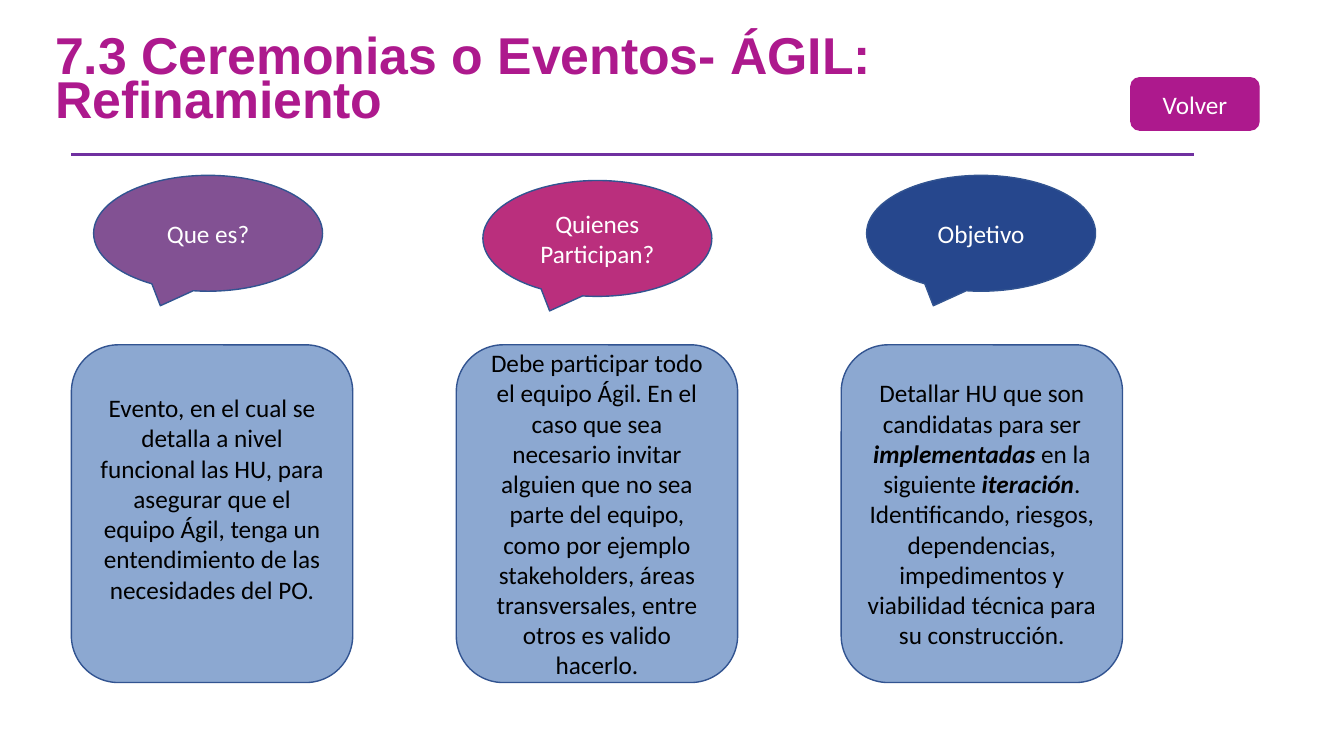
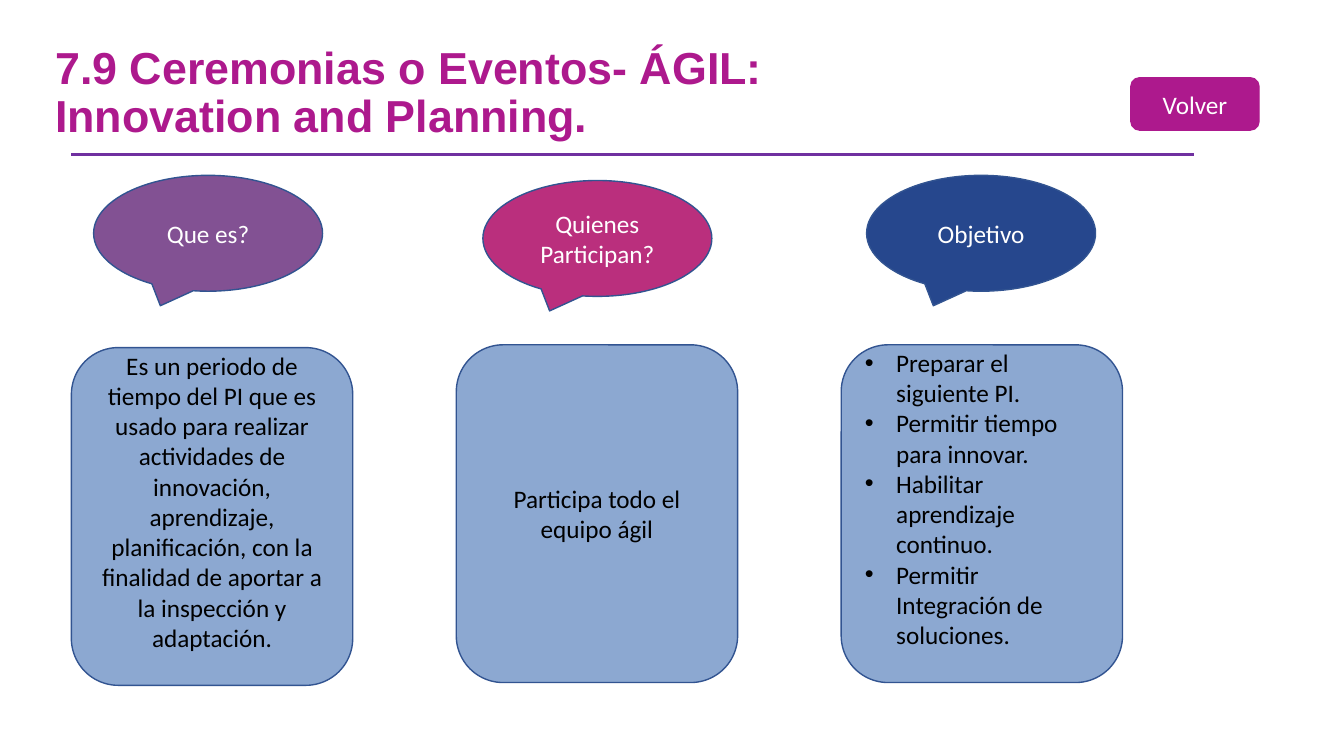
import pptx
import pptx.dml.color
import pptx.enum.shapes
import pptx.enum.text
import pptx.oxml.ns
import pptx.util
from lxml import etree

Cm = pptx.util.Cm
Pt = pptx.util.Pt
SHAPE = pptx.enum.shapes.MSO_SHAPE
ALIGN = pptx.enum.text.PP_ALIGN
qn = pptx.oxml.ns.qn

COLOURS = {
    "magenta": "AD198D",
    "rule": "7030A0",
    "outline": "325491",
    "purple": "825193",
    "pink": "BA2F7D",
    "navy": "26478D",
    "card": "8CA8D1",
    "white": "FFFFFF",
    "black": "000000",
}

# Heading, fill and position of each callout
CALLOUTS = [
    ("Que es?", "purple", 2.36, 4.42),
    ("Quienes Participan?", "pink", 12.17, 4.55),
    ("Objetivo", "navy", 21.84, 4.42),
]
CARD_LEFT, CARD_PITCH, CARD_TOP = 1.8, 9.7, 8.69
BULLET_INDENT = 0.79
LINE_HEIGHT = 0.77

SLIDES = [
    {
        "title": dict(text="7.3 Ceremonias o Eventos- ÁGIL: Refinamiento",
                      box=(1.14, 0.74, 23.77, 2.72), size=37, spacing=0.7),
        "cards": [
            dict(paragraphs=["Evento, en el cual se detalla a nivel funcional las HU, para "
                             "asegurar que el equipo Ágil, tenga un entendimiento de las "
                             "necesidades del PO."], raised=True),
            dict(paragraphs=["Debe participar todo el equipo Ágil. En el caso que sea necesario "
                             "invitar alguien que no sea parte del equipo, como por ejemplo "
                             "stakeholders, áreas transversales, entre otros es valido hacerlo."]),
            dict(paragraphs=["Detallar HU que son candidatas para ser *implementadas* en la "
                             "siguiente *iteración*. Identificando, riesgos, dependencias, "
                             "impedimentos y viabilidad técnica para su construcción."]),
        ],
    },
    {
        "title": dict(text="7.9 Ceremonias o Eventos- ÁGIL: Innovation and Planning.",
                      box=(1.14, 0.69, 21.49, 3.35), size=32, spacing=0.9),
        "cards": [
            dict(paragraphs=["Es un periodo de tiempo del PI que es usado para realizar "
                             "actividades de innovación, aprendizaje, planificación, con la "
                             "finalidad de aportar a la inspección y adaptación."],
                 top=8.76, raised=True),
            dict(paragraphs=["Participa todo el equipo ágil"]),
            dict(paragraphs=["Preparar el siguiente PI.",
                             "Permitir tiempo para innovar.",
                             "Habilitar aprendizaje continuo.",
                             "Permitir Integración de soluciones."],
                 bullets=True, raised=True),
        ],
    },
]


def colour(name):
    return pptx.dml.color.RGBColor.from_string(COLOURS[name])


def add_bullet(paragraph):
    properties = paragraph._p.get_or_add_pPr()
    properties.set("marL", str(Cm(BULLET_INDENT)))
    properties.set("indent", str(-Cm(BULLET_INDENT)))
    etree.SubElement(properties, qn("a:buFont")).set("typeface", "Arial")
    etree.SubElement(properties, qn("a:buChar")).set("char", "•")


def write_text(shape, paragraphs, size=18, font="Calibri", color="black", bold=False,
               align=ALIGN.CENTER, spacing=None, bullets=False):
    """Fill a shape with paragraphs; words between asterisks are bold italic."""
    frame = shape.text_frame
    frame.word_wrap = True
    frame.vertical_anchor = pptx.enum.text.MSO_ANCHOR.MIDDLE
    for index, text in enumerate(paragraphs):
        paragraph = frame.add_paragraph() if index else frame.paragraphs[0]
        if bullets:
            add_bullet(paragraph)
        paragraph.alignment = align
        if spacing:
            paragraph.line_spacing = spacing
        for position, part in enumerate(text.split("*")):
            emphasised = position % 2 == 1
            run = paragraph.add_run()
            run.text = part
            run.font.name = font
            run.font.size = Pt(size)
            run.font.bold = bold or emphasised
            run.font.italic = emphasised
            run.font.color.rgb = colour(color)


class Deck:
    """Holds the presentation, its shared style and the current slide."""

    def __init__(self):
        self.presentation = pptx.Presentation()
        self.presentation.slide_width = Cm(33.87)
        self.presentation.slide_height = Cm(19.05)
        self.slide = None

    def new_slide(self):
        self.slide = self.presentation.slides.add_slide(self.presentation.slide_layouts[6])

    def title(self, text, box, size, spacing):
        shape = self.slide.shapes.add_textbox(*map(Cm, box))
        write_text(shape, [text], size=size, font="Arial", color="magenta", bold=True,
                   align=ALIGN.LEFT, spacing=spacing)

    def rule(self):
        connector = self.slide.shapes.add_connector(
            pptx.enum.shapes.MSO_CONNECTOR.STRAIGHT, Cm(1.8), Cm(3.89), Cm(30.1), Cm(3.89))
        connector.line.color.rgb = colour("rule")
        connector.line.width = Pt(2.25)
        etree.SubElement(connector._element.spPr, qn("a:effectLst"))

    def block(self, kind, box, fill, outline="outline"):
        shape = self.slide.shapes.add_shape(kind, *map(Cm, box))
        shape.shadow.inherit = False
        shape.fill.solid()
        shape.fill.fore_color.rgb = colour(fill)
        shape.line.color.rgb = colour(outline)
        shape.line.width = Pt(1)
        return shape

    def callout(self, text, fill, left, top):
        shape = self.block(SHAPE.OVAL_CALLOUT, (left, top, 5.77, 2.92), fill)
        write_text(shape, [text], color="white")

    def card(self, column, paragraphs, top=CARD_TOP, bullets=False, raised=False):
        """Draw a text card; a raised text sits half a line above the middle."""
        box = (CARD_LEFT + column * CARD_PITCH, top, 7.09, 8.51)
        shape = self.block(SHAPE.FLOWCHART_ALTERNATE_PROCESS, box, "card")
        if raised:
            shape.text_frame.margin_bottom += Cm(LINE_HEIGHT)
        write_text(shape, paragraphs, bullets=bullets,
                   align=ALIGN.LEFT if bullets else ALIGN.CENTER)

    def back_button(self):
        shape = self.block(SHAPE.ROUNDED_RECTANGLE, (28.5, 1.96, 3.23, 1.32),
                           "magenta", outline="magenta")
        write_text(shape, ["Volver"], color="white")


def main():
    deck = Deck()
    for content in SLIDES:
        deck.new_slide()
        deck.title(**content["title"])
        deck.rule()
        for column, (callout, card) in enumerate(zip(CALLOUTS, content["cards"])):
            deck.callout(*callout)
            deck.card(column, **card)
        deck.back_button()
    deck.presentation.save("out.pptx")


if __name__ == "__main__":
    main()
